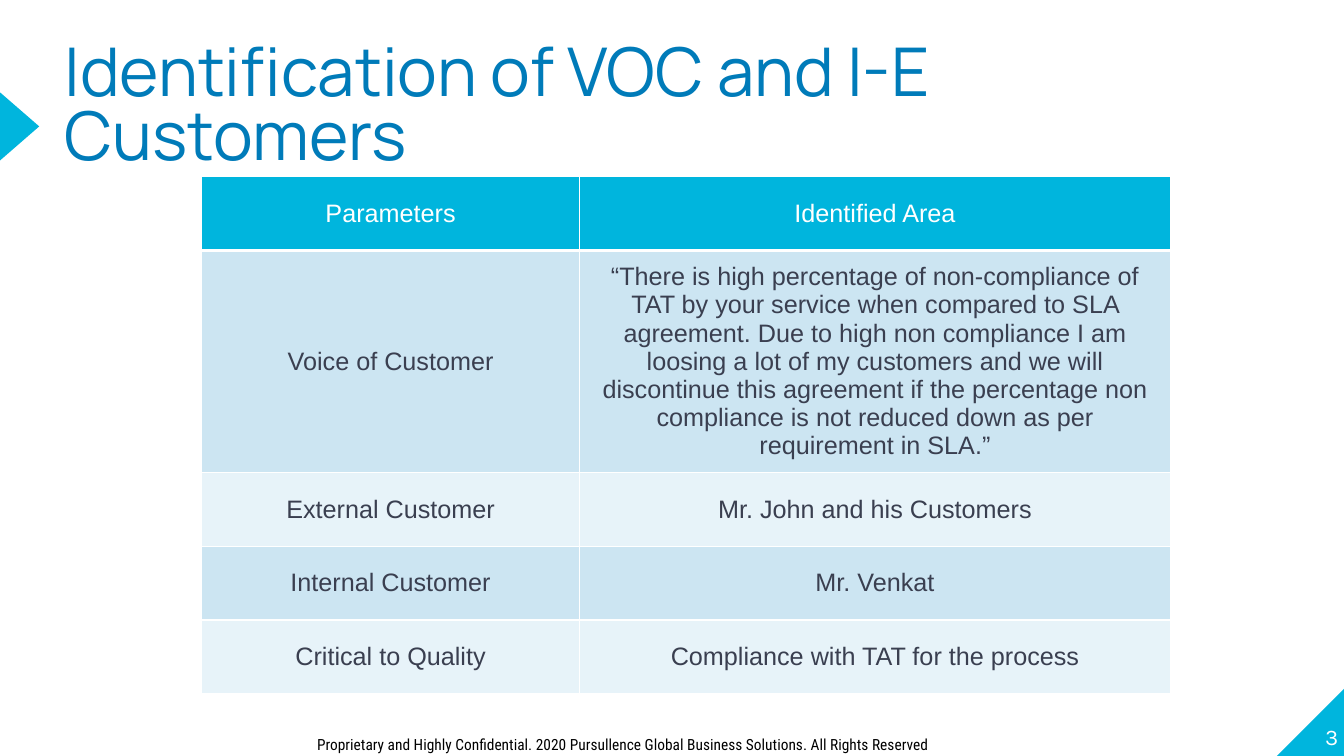
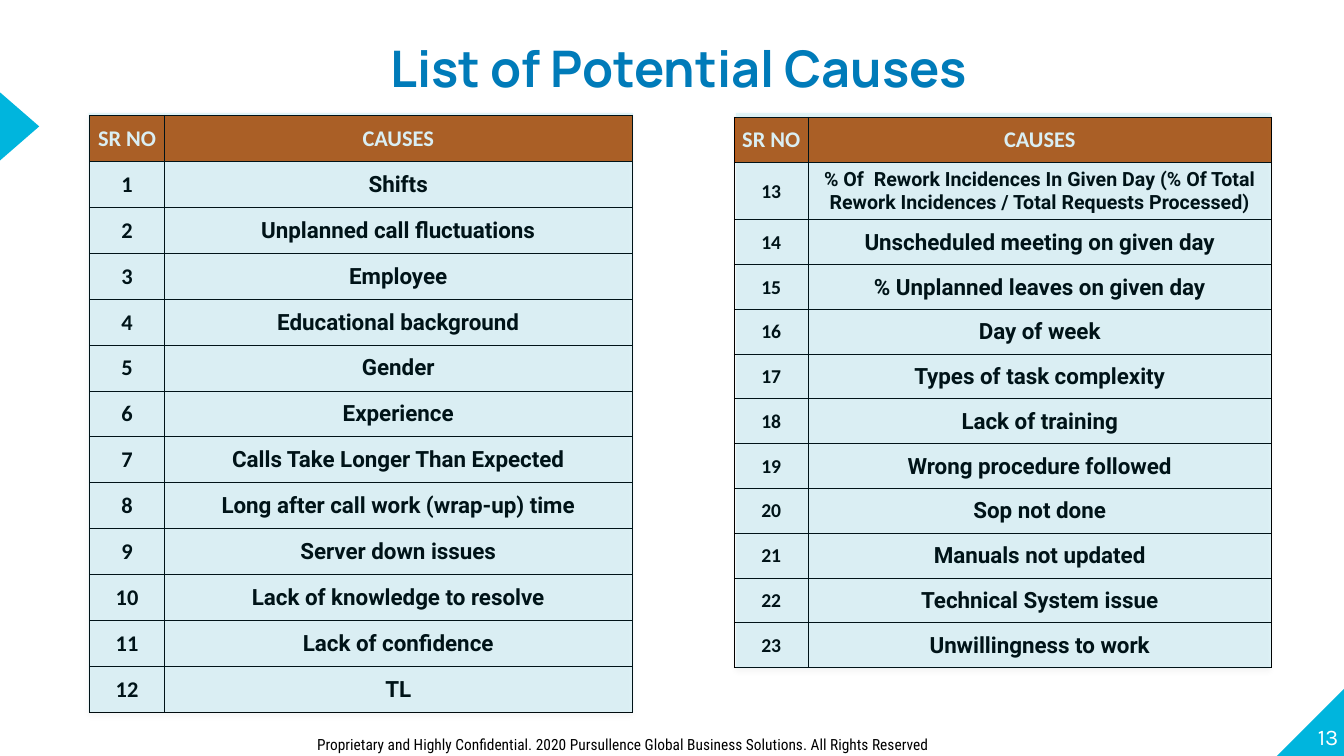
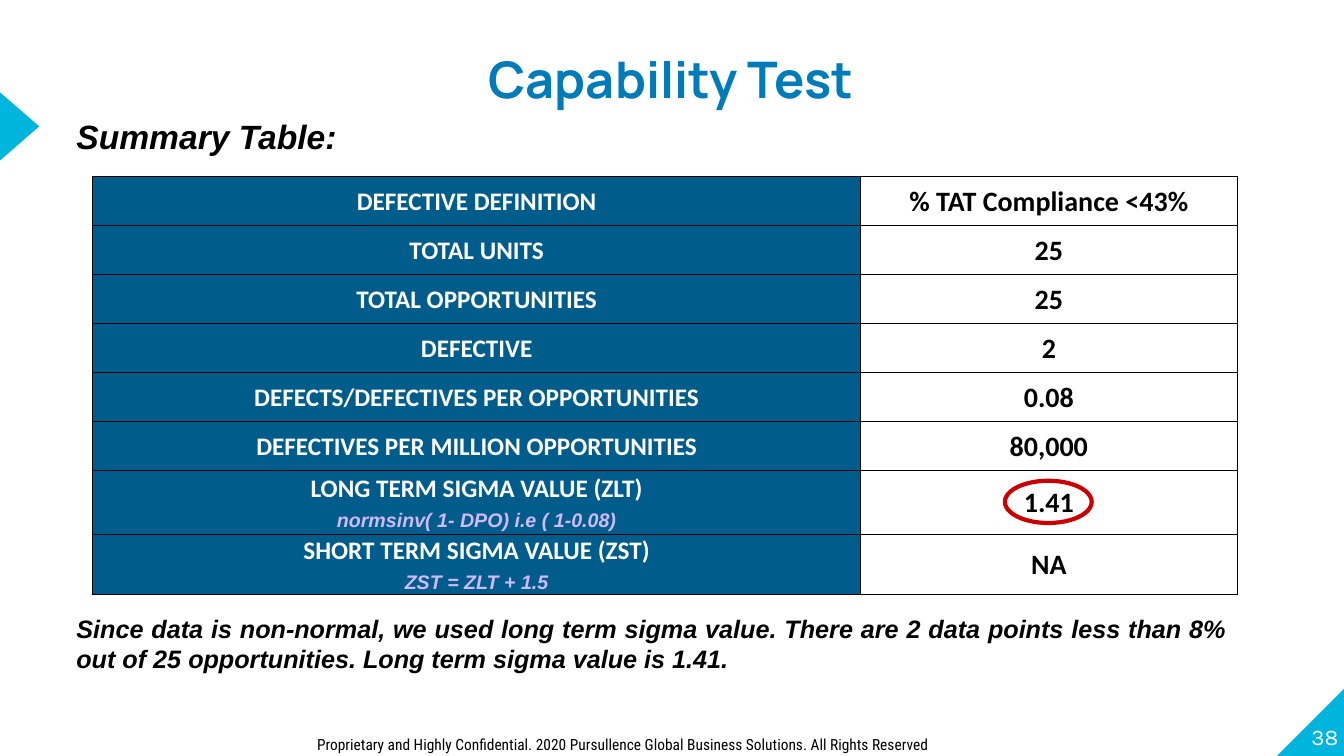
from dataclasses import dataclass, replace

from lxml.etree import SubElement
from pptx import Presentation
from pptx.dml.color import RGBColor
from pptx.enum.shapes import MSO_SHAPE
from pptx.enum.text import MSO_ANCHOR, PP_ALIGN
from pptx.oxml.ns import qn
from pptx.util import Pt

CYAN, BLUE, NAVY = "00B5DD", "007BB9", "005C8B"
WHITE, BLACK, SLATE = "FFFFFF", "000000", "3A3F50"
PALE, PALER = "CCE5F2", "E7F3F9"
RUST, LILAC, RED = "C65911", "D1B9FF", "CC0000"
FOOTER = ("Proprietary and Highly Confidential. 2020 Pursullence Global "
          "Business Solutions. All Rights Reserved")
TIGHT = (0.7, 0.7, 0.7, 0)
NORMAL = (7.2, 3.6, 7.2, 3.6)
NONE = (0, 0, 0, 0)


def color(value):
    return RGBColor.from_string(value)


@dataclass(frozen=True)
class Look:
    size: float
    font: str
    ink: str = BLACK
    bold: bool = False
    italic: bool = False
    align: PP_ALIGN = PP_ALIGN.CENTER
    spacing: float = 1.0


TITLE = Look(36, "Manrope", BLUE, bold=True, spacing=1.5)
NOTE = Look(18, "Arial", bold=True, italic=True, align=PP_ALIGN.JUSTIFY)
NUMBER = Look(16, "Calibri", bold=True)
CAUSE = Look(16, "Roboto", bold=True)


class Deck:
    def __init__(self):
        self.presentation = Presentation()
        self.presentation.slide_width = Pt(960)
        self.presentation.slide_height = Pt(540)
        self.page = None

    def add_page(self, number):
        self.page = self.presentation.slides.add_slide(self.presentation.slide_layouts[6])
        self.shape(MSO_SHAPE.RIGHT_TRIANGLE, 912, 491, 49, 49, CYAN).rotation = 270
        self.shape(MSO_SHAPE.ISOSCELES_TRIANGLE, -10.6, 76.2, 49, 28.2, CYAN).rotation = 90
        self.text(str(number), 908, 486.8, 48, 49,
                  Look(16, "Karla", WHITE, align=PP_ALIGN.RIGHT), NONE, MSO_ANCHOR.BOTTOM)
        self.text(FOOTER, 219.4, 521.2, 612.8, 20.6,
                  Look(11, "Roboto Condensed", align=PP_ALIGN.LEFT))

    def fill_paragraph(self, paragraph, text, look):
        paragraph.text = text
        paragraph.alignment = look.align
        paragraph.line_spacing = look.spacing
        self.style(paragraph, look)

    def style(self, paragraph, look):
        for span in paragraph.runs:
            span.font.size = Pt(look.size)
            span.font.name = look.font
            span.font.bold = look.bold
            span.font.italic = look.italic
            span.font.color.rgb = color(look.ink)

    def text(self, text, left, top, width, height, look, inset=NORMAL, anchor=MSO_ANCHOR.TOP):
        box = self.page.shapes.add_textbox(Pt(left), Pt(top), Pt(width), Pt(height))
        frame = box.text_frame
        frame.word_wrap = True
        frame.vertical_anchor = anchor
        self.set_margins(frame, inset)
        self.fill_paragraph(frame.paragraphs[0], text, look)

    def set_margins(self, holder, inset):
        left, top, right, bottom = inset
        holder.margin_left = Pt(left)
        holder.margin_top = Pt(top)
        holder.margin_right = Pt(right)
        holder.margin_bottom = Pt(bottom)

    def shape(self, kind, left, top, width, height, fill=None, line=None, weight=0):
        shape = self.page.shapes.add_shape(kind, Pt(left), Pt(top), Pt(width), Pt(height))
        shape.shadow.inherit = False
        if fill:
            shape.fill.solid()
            shape.fill.fore_color.rgb = color(fill)
        else:
            shape.fill.background()
        if line:
            shape.line.color.rgb = color(line)
            shape.line.width = Pt(weight)
        else:
            shape.line.fill.background()
        return shape

    def tint(self, left, top, width, height):
        veil = self.shape(MSO_SHAPE.RECTANGLE, left, top, width, height, CYAN)
        properties = veil._element.spPr
        fill = properties.find(qn("a:solidFill")).find(qn("a:srgbClr"))
        SubElement(fill, qn("a:alpha"), val="11000")
        shadow = SubElement(properties.find(qn("a:effectLst")), qn("a:outerShdw"),
                            blurRad=str(Pt(3.5)), dist=str(Pt(2.2)), dir="5400000",
                            rotWithShape="0")
        shade = SubElement(shadow, qn("a:srgbClr"), val=BLACK)
        SubElement(shade, qn("a:alpha"), val="32000")

    def borders(self, cell, ink, weight, bottom):
        properties = cell._tc.get_or_add_tcPr()
        for side in "LRTB":
            width = bottom if side == "B" else weight
            line = SubElement(properties, qn(f"a:ln{side}"), w=str(Pt(width)))
            SubElement(SubElement(line, qn("a:solidFill")), qn("a:srgbClr"), val=ink)

    def table(self, left, top, widths, heights, rows, look_of, fill_of,
              inset=TIGHT, border=(BLACK, 0.5), header_bottom=None):
        frame = self.page.shapes.add_table(len(rows), len(widths), Pt(left), Pt(top),
                                           Pt(sum(widths)), Pt(sum(heights)))
        table = frame.table
        table.first_row = table.horz_banding = False
        for column, width in zip(table.columns, widths):
            column.width = Pt(width)
        for r, (height, row) in enumerate(zip(heights, rows)):
            table.rows[r].height = Pt(height)
            for c, text in enumerate(row):
                cell = table.cell(r, c)
                cell.vertical_anchor = MSO_ANCHOR.MIDDLE
                self.set_margins(cell, inset)
                bottom = header_bottom if header_bottom and r == 0 else border[1]
                self.borders(cell, *border, bottom)
                fill = fill_of(r, c)
                if fill:
                    cell.fill.solid()
                    cell.fill.fore_color.rgb = color(fill)
                else:
                    cell.fill.background()
                self.fill_paragraph(cell.text_frame.paragraphs[0], text, look_of(r, c))
        return table

    def causes(self, left, top, widths, heights, first, causes, number_look):
        rows = [("SR NO", "CAUSES")]
        rows += [(str(number), cause) for number, cause in enumerate(causes, first)]
        header = replace(NUMBER, ink=WHITE)
        return self.table(left, top, widths, heights, rows,
                          lambda r, c: header if r == 0 else (number_look, CAUSE)[c],
                          lambda r, c: RUST if r == 0 else None)


def customers(deck):
    deck.add_page(3)
    deck.text("Identification of VOC and I-E Customers", 46, 50.4, 864, 55.4,
              Look(48, "Manrope", BLUE, align=PP_ALIGN.LEFT, spacing=0.8),
              NONE, MSO_ANCHOR.MIDDLE)
    rows = [
        ("Parameters", "Identified Area"),
        ("Voice of Customer",
         "“There is high percentage of non-compliance of TAT by your service when compared "
         "to SLA agreement. Due to high non compliance I am loosing a lot of my customers "
         "and we will discontinue this agreement if the percentage non compliance is not "
         "reduced down as per requirement in SLA.”"),
        ("External Customer", "Mr. John and his Customers"),
        ("Internal Customer", "Mr. Venkat"),
        ("Critical to Quality", "Compliance with TAT for the process"),
    ]
    deck.table(144, 126.3, (270, 422), (52.7, 148, 52.7, 52.7, 52.7), rows,
               lambda r, c: Look(18, "Arial", SLATE if r else WHITE),
               lambda r, c: CYAN if r == 0 else (PALER, PALE)[r % 2],
               NORMAL, (WHITE, 1), header_bottom=3)


def potential_causes(deck):
    deck.add_page(13)
    deck.text("List of Potential Causes", 135.4, 5, 699, 54.7, TITLE, NONE)
    deck.causes(64, 82.2, (53.5, 333.9), [32.85] * 13, 1, [
        "Shifts", "Unplanned call fluctuations", "Employee", "Educational background",
        "Gender", "Experience", "Calls Take Longer Than Expected",
        "Long after call work (wrap-up) time", "Server down issues",
        "Lack of knowledge to resolve", "Lack of confidence", "TL",
    ], NUMBER)
    later = deck.causes(524.5, 83.7, (52.8, 330.8), [32, 41.3] + [32] * 10, 13, [
        "% Of  Rework Incidences In Given Day (% Of Total Rework Incidences / "
        "Total Requests Processed)",
        "Unscheduled meeting on given day", "% Unplanned leaves on given day",
        "Day of week", "Types of task complexity", "Lack of training",
        "Wrong procedure followed", "Sop not done", "Manuals not updated",
        "Technical System issue", "Unwillingness to work",
    ], replace(NUMBER, size=14))
    deck.style(later.cell(1, 1).text_frame.paragraphs[0], replace(CAUSE, size=14))
    deck.tint(63.4, 80.6, 388.8, 428.4)
    deck.tint(525.6, 80.6, 382.3, 396.7)


def capability(deck):
    deck.add_page(38)
    deck.text("Capability Test", 130, 13, 699, 54.7, TITLE, NONE)
    deck.text("Summary Table:", 47.5, 79.2, 394, 36,
              replace(NOTE, size=24, align=PP_ALIGN.LEFT))
    rows = [
        ("DEFECTIVE DEFINITION", "% TAT Compliance <43%"),
        ("TOTAL UNITS", "25"),
        ("TOTAL OPPORTUNITIES", "25"),
        ("DEFECTIVE", "2"),
        ("DEFECTS/DEFECTIVES PER OPPORTUNITIES", "0.08"),
        ("DEFECTIVES PER MILLION OPPORTUNITIES", "80,000"),
        ("LONG TERM SIGMA VALUE (ZLT)", "1.41"),
        ("SHORT TERM SIGMA VALUE (ZST)", "NA"),
    ]
    looks = (replace(NUMBER, size=18, ink=WHITE), replace(NUMBER, size=20))
    summary = deck.table(66.2, 126.2, (548.6, 268.9), [35] * 6 + [45.6, 43], rows,
                         lambda r, c: looks[c], lambda r, c: (NAVY, None)[c])
    formula = Look(14, "Arial", LILAC, bold=True, italic=True)
    for row, text in ((6, "normsinv( 1- DPO) i.e ( 1-0.08)"), (7, "ZST = ZLT + 1.5")):
        paragraph = summary.cell(row, 0).text_frame.add_paragraph()
        deck.fill_paragraph(paragraph, text, formula)
        paragraph.space_before = Pt(4)
    deck.shape(MSO_SHAPE.OVAL, 717.8, 343.4, 62, 30.2, line=RED, weight=3)
    deck.text("Since data is non-normal, we used long term sigma value. There are 2 data "
              "points less than 8% out of 25 opportunities. Long term sigma value is 1.41.",
              47.5, 434.2, 836, 51, NOTE)


def main():
    deck = Deck()
    customers(deck)
    potential_causes(deck)
    capability(deck)
    deck.presentation.save("out.pptx")


if __name__ == "__main__":
    main()
